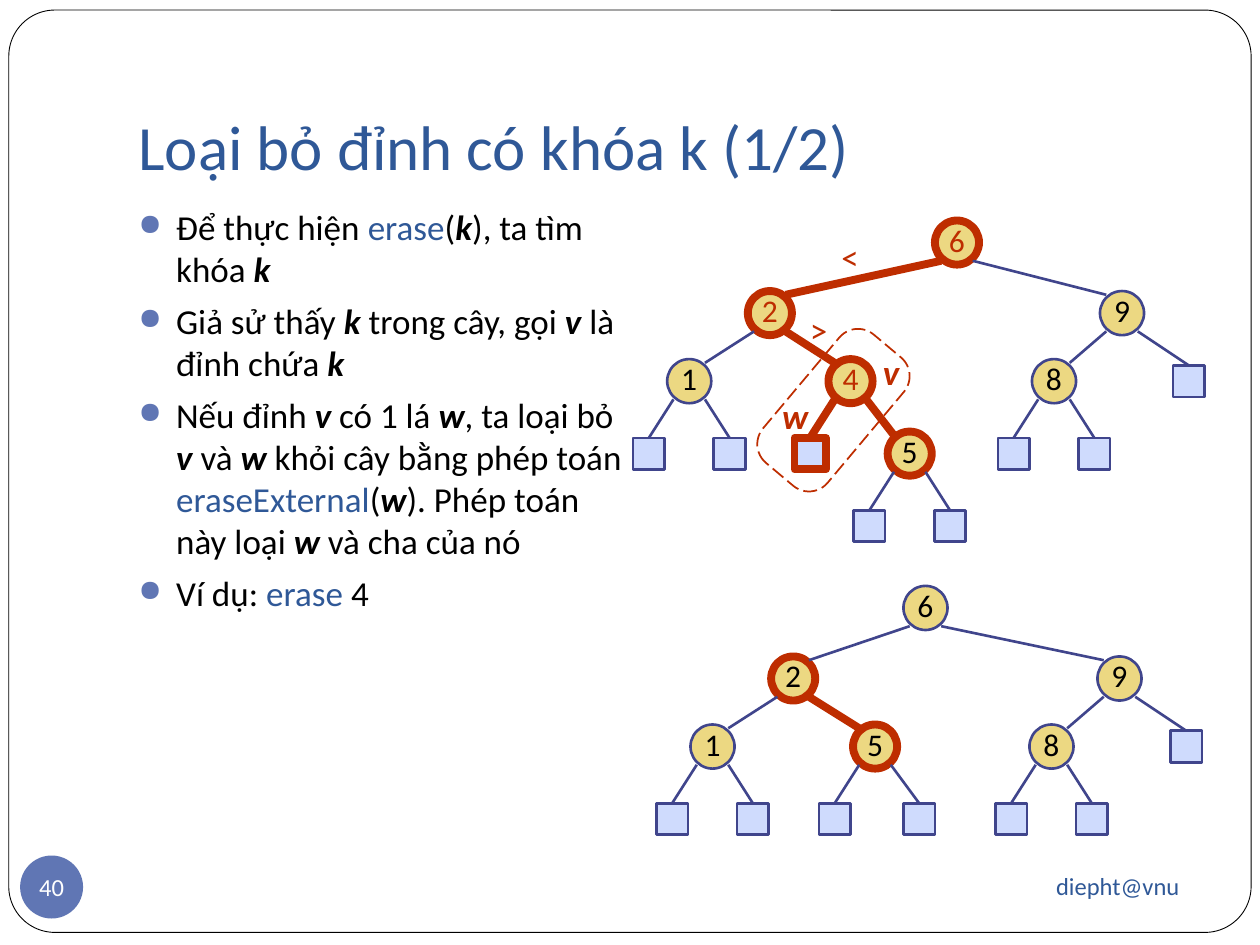
from dataclasses import dataclass

from lxml.etree import SubElement
from pptx import Presentation
from pptx.dml.color import RGBColor as RGB
from pptx.enum.dml import MSO_LINE_DASH_STYLE as Dash
from pptx.enum.shapes import MSO_CONNECTOR as Conn, MSO_SHAPE as Shape
from pptx.enum.text import MSO_ANCHOR as Anchor, PP_ALIGN as Align
from pptx.oxml.ns import qn
from pptx.util import Inches, Pt


@dataclass(frozen=True)
class Theme:
    """Colours, type sizes and line widths of the slide."""
    font: str = "Calibri"
    ink: str = "000000"
    paper: str = "FFFFFF"
    blue: str = "2F5897"
    accent: str = "6076B4"
    edge: str = "40458C"
    hot: str = "BE2D00"
    node: str = "ECD882"
    leaf: str = "CFDBFD"
    title: int = 36
    body: int = 20
    key: int = 18
    small: int = 14
    frame: float = 0.5
    dash: float = 1
    thin: float = 1.5
    thick: float = 4.5


@dataclass(frozen=True)
class Node:
    """Tree node placed dx columns from its parent; a leaf has no key."""
    dx: float
    key: str = ""
    hot: bool = False
    kids: tuple = ()
    key_color: str = Theme.ink


COLS, ROWS = 100, 75
LEVELS = (0, 5.6, 11, 16.75, 22.5)
CIRCLE, SQUARE = 3.5, 2.5
TOUCH_X, TOUCH_Y = 1.25, 1.45
T = Theme()


def grid(*cells):
    """Turn grid columns or rows, ten to the inch, into lengths."""
    return [Inches(c / 10) for c in cells]


def add_run(p, text, size, color, strong=False):
    """Append one run to a paragraph."""
    r = p.add_run()
    r.text = text
    f = r.font
    f.name, f.size, f.color.rgb = T.font, Pt(size), RGB.from_string(color)
    f.bold = f.italic = strong


def add_text(shapes, box, text, size, color, align=Align.LEFT,
             anchor=Anchor.TOP, bottom=0.5, wrap=True, strong=False):
    """Add a text box holding one run."""
    tf = shapes.add_textbox(*grid(*box)).text_frame
    tf.word_wrap, tf.vertical_anchor = wrap, anchor
    tf.margin_bottom, = grid(bottom)
    tf.paragraphs[0].alignment = align
    add_run(tf.paragraphs[0], text, size, color, strong)


def add_shape(shapes, kind, box, fill=None, line=None, width=0):
    """Add a flat preset shape with optional fill and outline."""
    sp = shapes.add_shape(kind, *grid(*box))
    sp.shadow.inherit = False
    if fill:
        sp.fill.solid()
        sp.fill.fore_color.rgb = RGB.from_string(fill)
    else:
        sp.fill.background()
    if line:
        sp.line.color.rgb = RGB.from_string(line)
        sp.line.width = Pt(width)
    else:
        sp.line.fill.background()
    return sp


def add_label(sp, text, size, color, bottom=0):
    """Centre one run inside a shape."""
    tf = sp.text_frame
    tf.margin_left = tf.margin_right = tf.margin_top = 0
    tf.margin_bottom, = grid(bottom)
    tf.word_wrap, tf.vertical_anchor = False, Anchor.MIDDLE
    tf.paragraphs[0].alignment = Align.CENTER
    add_run(tf.paragraphs[0], text, size, color)


def add_bullets(shapes, box, items):
    """Add a bulleted list whose items are (text, style) runs."""
    styles = {"": (T.ink, False), "var": (T.ink, True), "code": (T.blue, False)}
    tf = shapes.add_textbox(*grid(*box)).text_frame
    tf.word_wrap = True
    for i, runs in enumerate(items):
        p = tf.add_paragraph() if i else tf.paragraphs[0]
        pPr = p._p.get_or_add_pPr()
        indent, = grid(3)
        pPr.set("marL", str(indent))
        pPr.set("indent", str(-indent))
        color = SubElement(pPr, qn("a:buClr"))
        SubElement(color, qn("a:srgbClr"), val=T.accent)
        SubElement(pPr, qn("a:buSzPct"), val="85000")
        SubElement(pPr, qn("a:buChar"), char="●")
        if i:
            p.space_before = Pt(5.8)
        for text, style in runs:
            add_run(p, text, T.body, *styles[style])


def add_edge(shapes, start, end, hot, leaf=None):
    """Draw a tree edge, joined to the top of a leaf when given one."""
    cn = shapes.add_connector(Conn.STRAIGHT, *grid(*start, *end))
    if leaf is not None:
        cn.end_connect(leaf, 0)
    cn.line.color.rgb = RGB.from_string(T.hot if hot else T.edge)
    cn.line.width = Pt(T.thick if hot else T.thin)
    SubElement(cn._element.spPr, qn("a:effectLst"))


def add_tree(shapes, node, x, top, depth=0):
    """Draw a node centred on column x and, below it, its subtrees."""
    y = top + LEVELS[depth]
    kind, size, fill = ((Shape.OVAL, CIRCLE, T.node) if node.key
                        else (Shape.RECTANGLE, SQUARE, T.leaf))
    line = (T.hot, T.thick) if node.hot else (T.edge, T.thin)
    sp = add_shape(shapes, kind, (x - size / 2, y - size / 2, size, size), fill, *line)
    if node.key:
        add_label(sp, node.key, T.key, node.key_color, bottom=0.5)
    for kid in node.kids:
        kid_x, kid_y = x + kid.dx, top + LEVELS[depth + 1]
        kid_sp = add_tree(shapes, kid, kid_x, top, depth + 1)
        side = TOUCH_X if kid.dx > 0 else -TOUCH_X
        add_edge(shapes, (x + side, y + TOUCH_Y), (kid_x - side, kid_y - TOUCH_Y),
                 node.hot and kid.hot, None if kid.key else kid_sp)
    return sp


def leaves(left=-3.2, right=3.2):
    """Return a pair of leaves."""
    return Node(left), Node(right)


def nine(dx):
    """Return the right subtree that both trees share."""
    return Node(dx, "9", kids=(Node(-5.4, "8", kids=leaves()), Node(5.3)))


def main():
    """Build the slide and save it."""
    prs = Presentation()
    prs.slide_width, prs.slide_height = grid(COLS, ROWS)
    shapes = prs.slides.add_slide(prs.slide_layouts[6]).shapes

    frame = add_shape(shapes, Shape.ROUNDED_RECTANGLE, (0.7, 0.8, 98.6, 73.2),
                      T.paper, T.ink, T.frame)
    frame.adjustments[0] = 0.05
    add_text(shapes, (10, 3, 85, 12.5), "Loại bỏ đỉnh có khóa k (1/2)", T.title,
             T.blue, anchor=Anchor.BOTTOM, bottom=1)
    add_text(shapes, (67.5, 67.7, 27.1, 5.2), "diepht@vnu", T.small, T.blue,
             Align.RIGHT, Anchor.MIDDLE)
    badge = add_shape(shapes, Shape.OVAL, (1.6, 67.9, 5, 5), T.accent)
    add_label(badge, "40", T.small, T.paper)

    k, v, w = (("k", "var"), ("v", "var"), ("w", "var"))
    add_bullets(shapes, (10, 15.8, 41, 50), [
        [("Để thực hiện ", ""), ("erase", "code"), ("(", ""), k, ("), ta tìm khóa ", ""), k],
        [("Giả sử thấy ", ""), k, (" trong cây, gọi ", ""), v, (" là đỉnh chứa ", ""), k],
        [("Nếu đỉnh ", ""), v, (" có 1 lá ", ""), w, (", ta loại bỏ ", ""), v, (" và ", ""), w,
         (" khỏi cây bằng phép toán ", ""), ("eraseExternal", "code"), ("(", ""), w,
         ("). Phép toán này loại ", ""), w, (" và cha của nó", "")],
        [("Ví dụ: ", ""), ("erase", "code"), (" 4", "")],
    ])

    one = Node(-6.4, "1", kids=leaves())
    five = Node(4.7, "5", True, leaves())
    four = Node(6.4, "4", True, (Node(-3.2, hot=True), five), T.hot)
    before = Node(0, "6", True, (Node(-14.85, "2", True, (one, four), T.hot), nine(13.1)), T.hot)
    moved_five = Node(6.5, "5", True, leaves(right=3.5))
    after = Node(0, "6", kids=(Node(-10.5, "2", True, (one, moved_five)), nine(15.4)))

    add_tree(shapes.add_group_shape().shapes, after, 73.45, 48.25)
    search = shapes.add_group_shape().shapes
    add_tree(search, before, 75.95, 19.25)
    for text, x, y, width, strong in (("v", 69.1, 27.3, 3.4, True), ("w", 61.1, 30.8, 4.2, True),
                                      ("<", 65.8, 18.2, 3.6, False), (">", 63.3, 24, 3.6, False)):
        add_text(search, (x, y, width, 4.4), text, T.body, T.hot, wrap=False, strong=strong)
    removed = add_shape(search, Shape.ROUNDED_RECTANGLE, (59.5, 29.2, 13.3, 6.7),
                        line=T.hot, width=T.dash)
    removed.adjustments[0] = 0.29
    removed.rotation = 310
    removed.line.dash_style = Dash.LONG_DASH

    prs.save("out.pptx")


if __name__ == "__main__":
    main()
